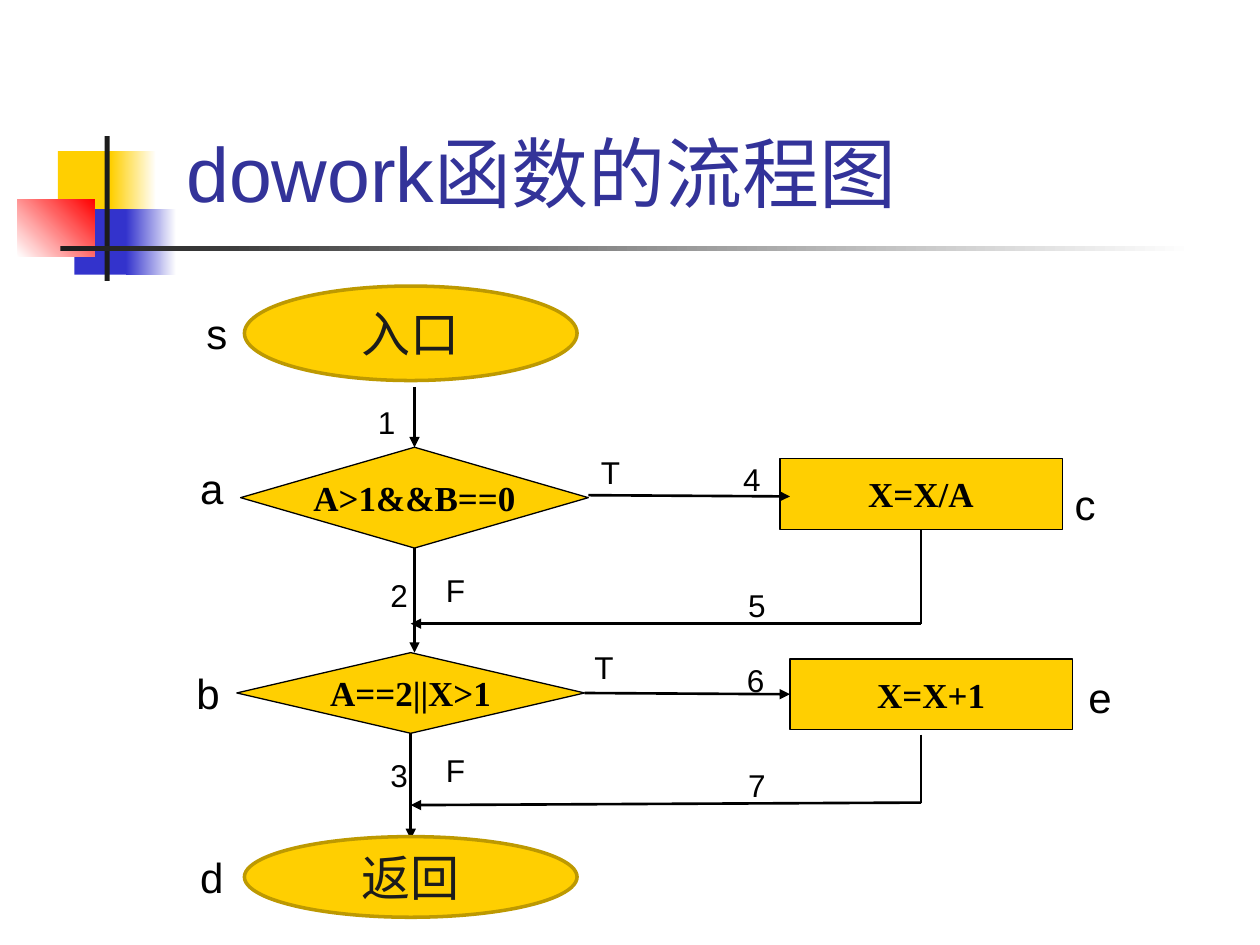
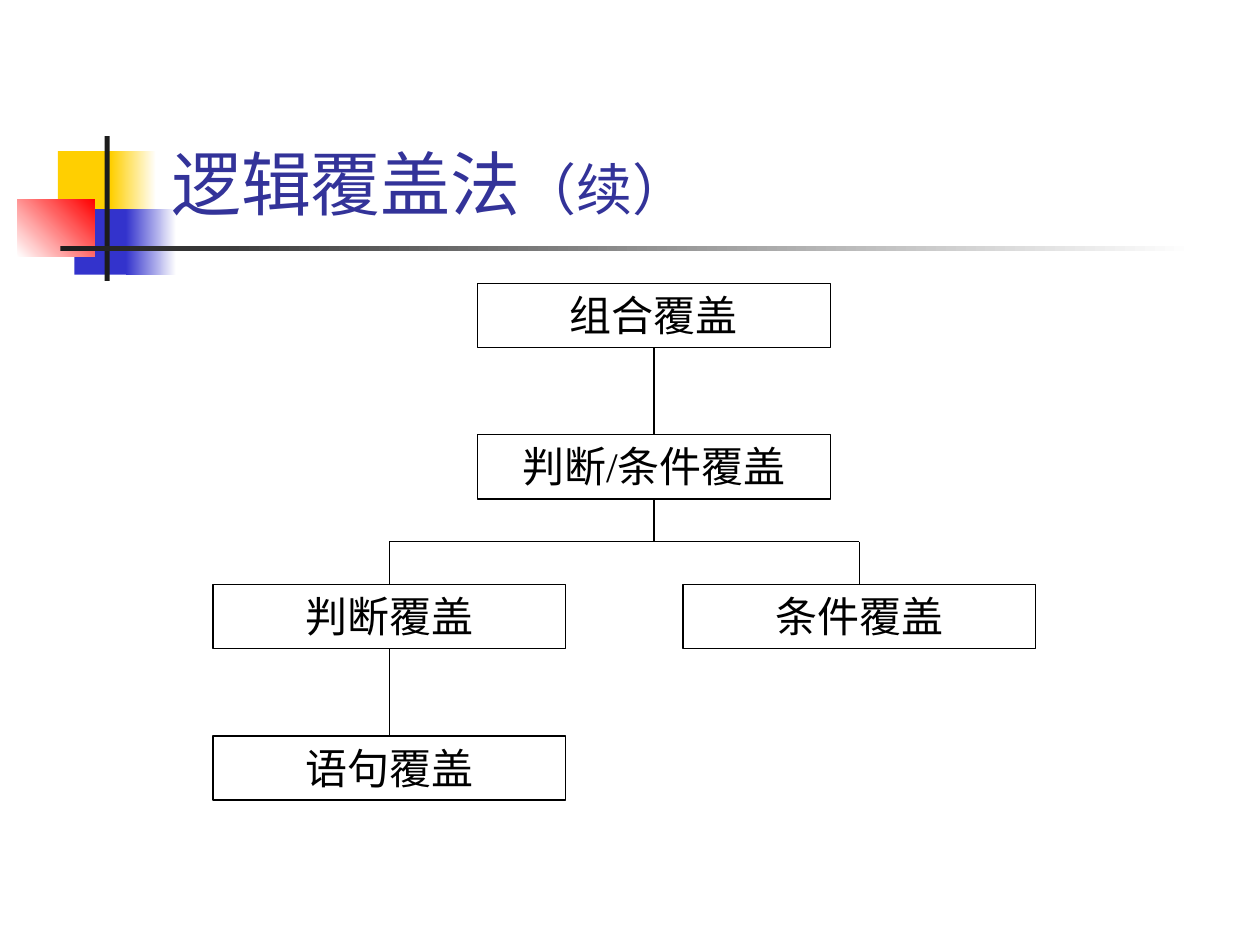
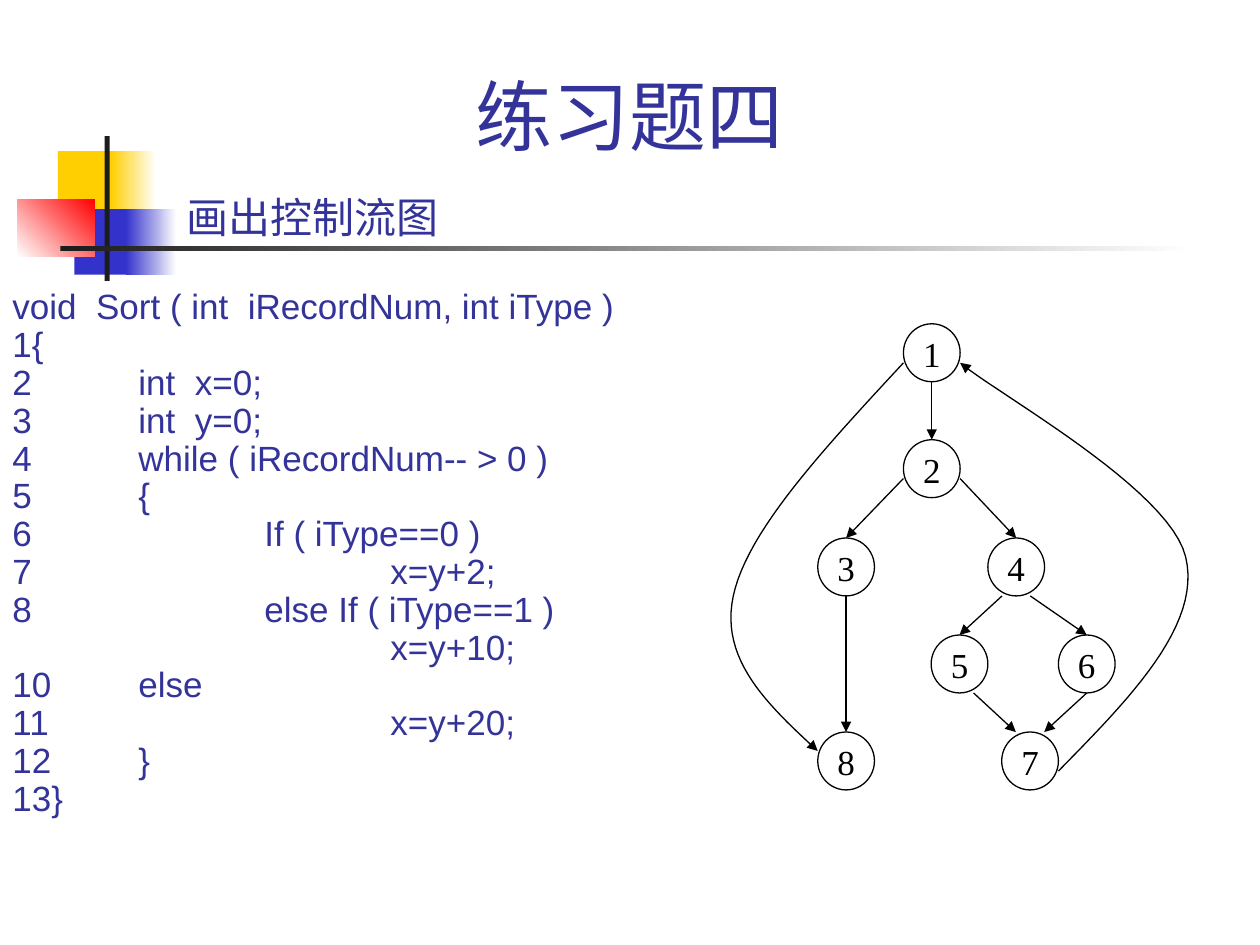
from dataclasses import dataclass

from lxml.etree import SubElement
from pptx import Presentation
from pptx.dml.color import RGBColor
from pptx.enum.shapes import MSO_CONNECTOR, MSO_SHAPE
from pptx.enum.text import MSO_ANCHOR, MSO_AUTO_SIZE, PP_ALIGN
from pptx.oxml.ns import qn
from pptx.util import Inches, Pt

BLACK, WHITE, INK = "000000", "FFFFFF", "1C1C1C"
YELLOW, BLUE, RED, GOLD, TITLE = "FFCF01", "3333CC", "FF0000", "BD9901", "333399"
SANS, SERIF = "Arial", "Times New Roman"
BOX_WIDTH, BOX_HEIGHT = 2.8, 0.51
NODE_WIDTH, NODE_HEIGHT = 0.45, 0.46


@dataclass(frozen=True)
class Area:
    """Place and size in inches."""
    left: float
    top: float
    width: float
    height: float

    def lengths(self) -> tuple:
        """Give the four values as lengths."""
        return tuple(map(Inches, (self.left, self.top, self.width, self.height)))

    def at(self, across: float, down: float) -> tuple:
        """Give the point at these fractions of the width and height."""
        return self.left + across * self.width, self.top + down * self.height


@dataclass(frozen=True)
class Band:
    """Part of the title decoration, fading when it has a second colour."""
    area: Area
    color: str
    fade: str = ""
    angle: int = 0


@dataclass(frozen=True)
class Step:
    """Filled flow chart shape with its text."""
    name: str
    kind: MSO_SHAPE
    area: Area
    text: str


@dataclass(frozen=True)
class Label:
    """Small free-standing text."""
    text: str
    area: Area
    size: int = 18


@dataclass(frozen=True)
class Joint:
    """Middle of a side of a named shape."""
    name: str
    side: int


@dataclass(frozen=True)
class Link:
    """Line between two points or joints."""
    start: tuple | Joint
    end: tuple | Joint
    arrow: bool = True


@dataclass(frozen=True)
class Edge:
    """Arrow between two graph nodes, with the fractions where it touches them."""
    source: str
    leave: tuple
    target: str
    enter: tuple


BANDS = (
    Band(Area(0.46, 1.2, 0.48, 0.52), YELLOW),
    Band(Area(0.88, 1.2, 0.36, 0.52), YELLOW, WHITE),
    Band(Area(0.59, 1.66, 0.46, 0.52), BLUE),
    Band(Area(1, 1.66, 0.4, 0.52), BLUE, WHITE),
    Band(Area(0.14, 1.58, 0.61, 0.46), WHITE, RED, 45),
    Band(Area(0.83, 1.08, 0.04, 1.15), INK),
    Band(Area(0.48, 1.95, 9, 0.04), INK, WHITE),
)

STEPS = (
    Step("a", MSO_SHAPE.FLOWCHART_DECISION, Area(1.91, 3.55, 2.76, 0.8), "A>1&&B==0"),
    Step("c", MSO_SHAPE.FLOWCHART_PROCESS, Area(6.19, 3.64, 2.24, 0.56), "X=X/A"),
    Step("e", MSO_SHAPE.FLOWCHART_PROCESS, Area(6.27, 5.23, 2.24, 0.56), "X=X+1"),
    Step("b", MSO_SHAPE.FLOWCHART_DECISION, Area(1.88, 5.18, 2.76, 0.64), "A==2||X>1"),
)

FLOW = (
    Link((3.29, 3.07), Joint("a", 0)),
    Link((4.67, 3.93), (6.27, 3.94)),
    Link(Joint("a", 2), (3.29, 5.18)),
    Link(Joint("b", 3), Joint("e", 1)),
    Link(Joint("b", 2), (3.26, 6.66)),
    Link(Joint("c", 2), (7.31, 4.95), False),
    Link((7.31, 4.95), (3.26, 4.95)),
    Link((7.31, 5.83), (7.31, 6.37), False),
    Link((7.31, 6.37), (3.26, 6.39)),
)

TERMINALS = (
    Step("d", MSO_SHAPE.OVAL, Area(1.94, 6.64, 2.64, 0.64), "返回"),
    Step("s", MSO_SHAPE.OVAL, Area(1.94, 2.27, 2.64, 0.75), "入口"),
)

LABELS = (
    Label("s", Area(1.54, 2.39, 0.37, 0.5), 24),
    Label("a", Area(1.49, 3.62, 0.39, 0.51), 24),
    Label("b", Area(1.46, 5.25, 0.39, 0.51), 24),
    Label("d", Area(1.49, 6.71, 0.39, 0.51), 24),
    Label("c", Area(8.43, 3.75, 0.37, 0.51), 24),
    Label("e", Area(8.54, 5.28, 0.39, 0.51), 24),
    Label("1", Area(2.9, 3.15, 0.34, 0.4)),
    Label("2", Area(3, 4.52, 0.34, 0.4)),
    Label("3", Area(3, 5.95, 0.34, 0.4)),
    Label("4", Area(5.8, 3.6, 0.34, 0.4)),
    Label("5", Area(5.84, 4.6, 0.34, 0.4)),
    Label("6", Area(5.83, 5.2, 0.34, 0.4)),
    Label("7", Area(5.84, 6.03, 0.34, 0.4)),
    Label("T", Area(4.67, 3.55, 0.36, 0.4)),
    Label("F", Area(3.44, 4.48, 0.36, 0.4)),
    Label("F", Area(3.44, 5.91, 0.36, 0.4)),
    Label("T", Area(4.62, 5.09, 0.36, 0.4)),
)

COVERAGE = {
    "组合覆盖": (3.79, 2.25),
    "判断/条件覆盖": (3.79, 3.45),
    "判断覆盖": (1.69, 4.64),
    "条件覆盖": (5.42, 4.64),
    "语句覆盖": (1.69, 5.84),
}

TREE = (
    Link(Joint("组合覆盖", 2), Joint("判断/条件覆盖", 0), False),
    Link(Joint("判断/条件覆盖", 2), (5.19, 4.3), False),
    Link((3.09, 4.3), (6.82, 4.3), False),
    Link((3.09, 4.3), Joint("判断覆盖", 0), False),
    Link((6.82, 4.3), Joint("条件覆盖", 0), False),
    Link(Joint("判断覆盖", 2), Joint("语句覆盖", 0), False),
)

CODE = """void  Sort ( int  iRecordNum, int iType )
1{
2\tint  x=0;
3\tint  y=0;
4\twhile ( iRecordNum-- > 0 )
5\t{
6\t\tIf ( iType==0 )
7\t\t\tx=y+2;
8\t\telse If ( iType==1 )
\t\t\tx=y+10;
10\telse
11\t\t\tx=y+20;
12\t}
13}"""

NODES = {
    "1": (7.17, 2.57),
    "2": (7.17, 3.49),
    "3": (6.49, 4.27),
    "4": (7.84, 4.27),
    "5": (7.39, 5.04),
    "6": (8.4, 5.04),
    "7": (7.95, 5.81),
    "8": (6.49, 5.81),
}

EDGES = (
    Edge("1", (0.5, 1), "2", (0.5, 0)),
    Edge("2", (0, 0.67), "3", (0.5, 0)),
    Edge("2", (1, 0.67), "4", (0.5, 0)),
    Edge("4", (0.25, 1), "5", (0.5, 0)),
    Edge("4", (0.75, 1), "6", (0.5, 0)),
    Edge("5", (0.75, 1), "7", (0.25, 0)),
    Edge("6", (0.5, 1), "7", (0.75, 0)),
    Edge("3", (0.5, 1), "8", (0.5, 0)),
)

CURVES = (
    ((7.17, 2.88), (6.55, 3.55), (5.93, 4.21), (5.82, 4.73),
     (5.71, 5.24), (6.1, 5.6), (6.49, 5.96)),
    ((8.4, 6.12), (8.97, 5.54), (9.54, 4.96), (9.41, 4.42),
     (9.28, 3.88), (7.92, 3.13), (7.62, 2.88)),
)


def rgb(color: str) -> RGBColor:
    """Turn a hex string into a colour."""
    return RGBColor.from_string(color)


def add_span(para, text: str, size: float, font: str, color: str, bold: bool = False) -> None:
    """Add a formatted run to a paragraph."""
    span = para.add_run()
    span.text = text
    span.font.size, span.font.name, span.font.bold = Pt(size), font, bold
    span.font.color.rgb = rgb(color)


def set_tabs(para, tabs: tuple) -> None:
    """Set left tab stops, given in inches."""
    stops = SubElement(para._p.get_or_add_pPr(), qn("a:tabLst"))
    for tab in tabs:
        SubElement(stops, qn("a:tab"), pos=str(Inches(tab)), algn="l")


def write(shape, text: str, *, size: float, font: str = SANS, color: str = BLACK,
          bold: bool = False, align=PP_ALIGN.LEFT, anchor=MSO_ANCHOR.TOP, wrap: bool = True,
          margin: float | None = None, line_spacing: float = 1, tabs: tuple = ()) -> None:
    """Write the lines of a text into a shape as paragraphs."""
    frame = shape.text_frame
    frame.word_wrap, frame.vertical_anchor = wrap, anchor
    if margin is not None:
        frame.margin_left = frame.margin_right = Inches(margin)
        frame.margin_top = frame.margin_bottom = Inches(margin)
    for index, line in enumerate(text.split("\n")):
        para = frame.add_paragraph() if index else frame.paragraphs[0]
        para.alignment, para.line_spacing = align, line_spacing
        if tabs:
            set_tabs(para, tabs)
        add_span(para, line, size, font, color, bold)


def add_box(page, area: Area, text: str, **style):
    """Add a text box."""
    box = page.shapes.add_textbox(*area.lengths())
    write(box, text, **style)
    return box


def add_label(page, area: Area, text: str, **style) -> None:
    """Add a text box that fits its single line."""
    box = add_box(page, area, text, wrap=False, **style)
    box.text_frame.auto_size = MSO_AUTO_SIZE.SHAPE_TO_FIT_TEXT


def set_line(item, color: str, weight: float, arrow: bool = False) -> None:
    """Set the line of a shape or connector, with an optional arrowhead."""
    item.line.color.rgb = rgb(color)
    item.line.width = Pt(weight)
    if arrow:
        SubElement(item.get_or_add_ln(), qn("a:tailEnd"), type="triangle")


def add_shape(page, kind, area: Area, fill: str = "", line: str = "", weight: float = 0.75):
    """Add a preset shape without shadow."""
    shape = page.shapes.add_shape(kind, *area.lengths())
    shape.shadow.inherit = False
    if fill:
        shape.fill.solid()
        shape.fill.fore_color.rgb = rgb(fill)
    else:
        shape.fill.background()
    if line:
        set_line(shape, line, weight)
    else:
        shape.line.fill.background()
    return shape


def add_link(page, link: Link, shapes: dict, weight: float = 0.75) -> None:
    """Draw a straight line, joined to shapes where it has joints."""
    points = [(0, 0) if isinstance(end, Joint) else end for end in (link.start, link.end)]
    lengths = [Inches(value) for point in points for value in point]
    connector = page.shapes.add_connector(MSO_CONNECTOR.STRAIGHT, *lengths)
    for end, join in ((link.start, connector.begin_connect), (link.end, connector.end_connect)):
        if isinstance(end, Joint):
            join(shapes[end.name], end.side)
    set_line(connector, BLACK, weight, link.arrow)
    SubElement(connector.element.spPr, qn("a:effectLst"))


def bezier(controls: tuple, count: int = 24) -> list:
    """Sample a cubic curve after its first point."""
    points = []
    for step in range(1, count + 1):
        t = step / count
        weights = ((1 - t) ** 3, 3 * t * (1 - t) ** 2, 3 * t * t * (1 - t), t ** 3)
        points.append(tuple(Inches(sum(w * p[axis] for w, p in zip(weights, controls)))
                            for axis in (0, 1)))
    return points


def add_curve(page, controls: tuple) -> None:
    """Draw an arrow along two cubic curves."""
    builder = page.shapes.build_freeform(*map(Inches, controls[0]))
    builder.add_line_segments(bezier(controls[:4]) + bezier(controls[3:]), close=False)
    curve = builder.convert_to_shape()
    curve.shadow.inherit = False
    curve.fill.background()
    set_line(curve, BLACK, 0.75, True)


def add_page(deck, title: str, area: Area, size: int, align=PP_ALIGN.LEFT):
    """Add a page with the decoration and title, and return it with the title box."""
    page = deck.slides.add_slide(deck.slide_layouts[6])
    for band in BANDS:
        shape = add_shape(page, MSO_SHAPE.RECTANGLE, band.area, band.color)
        if band.fade:
            shape.fill.gradient()
            shape.fill.gradient_angle = band.angle
            for stop, color in zip(shape.fill.gradient_stops, (band.color, band.fade)):
                stop.color.rgb = rgb(color)
    box = add_box(page, area, title, size=size, color=TITLE, align=align,
                  anchor=MSO_ANCHOR.BOTTOM)
    return page, box


def build_flow_chart(deck) -> None:
    """Build the flow chart page."""
    page, _ = add_page(deck, "dowork函数的流程图", Area(1.38, 0.84, 7.64, 0.94), 44)
    centred = {"align": PP_ALIGN.CENTER, "anchor": MSO_ANCHOR.MIDDLE}
    shapes = {}
    for step in STEPS:
        shapes[step.name] = add_shape(page, step.kind, step.area, YELLOW, BLACK)
        write(shapes[step.name], step.text, size=20, font=SERIF, bold=True, wrap=False, **centred)
    for link in FLOW:
        add_link(page, link, shapes, 1.5)
    for step in TERMINALS:
        oval = add_shape(page, step.kind, step.area, YELLOW, GOLD, 2)
        write(oval, step.text, size=28, color=INK, **centred)
    for label in LABELS:
        add_label(page, label.area, label.text, size=label.size)


def build_coverage_tree(deck) -> None:
    """Build the coverage tree page."""
    page, box = add_page(deck, "逻辑覆盖法", Area(1.26, 0.23, 8.52, 1.6), 40)
    add_span(box.text_frame.paragraphs[0], "（续）", 32, SANS, TITLE)
    shapes = {}
    for text, (left, top) in COVERAGE.items():
        area = Area(left, top, BOX_WIDTH, BOX_HEIGHT)
        shapes[text] = add_shape(page, MSO_SHAPE.RECTANGLE, area, line=BLACK)
        write(shapes[text], text, size=24, font=SERIF, align=PP_ALIGN.CENTER)
    for link in TREE:
        add_link(page, link, shapes)


def build_exercise(deck) -> None:
    """Build the exercise page with code and control flow graph."""
    page, _ = add_page(deck, "练习题四", Area(0.74, 0.57, 8.52, 0.76), 44, PP_ALIGN.CENTER)
    add_label(page, Area(1.38, 1.47, 2.22, 0.5), "画出控制流图", size=24, color=TITLE)
    add_box(page, Area(0, 2.25, 5.98, 5.48), CODE, size=20, color=TITLE,
            line_spacing=0.9, tabs=(1, 2, 3))
    areas = {name: Area(*place, NODE_WIDTH, NODE_HEIGHT) for name, place in NODES.items()}
    for name, area in areas.items():
        node = add_shape(page, MSO_SHAPE.OVAL, area, line=BLACK)
        write(node, name, size=20, font=SERIF, align=PP_ALIGN.CENTER, margin=0)
    for edge in EDGES:
        start, end = areas[edge.source].at(*edge.leave), areas[edge.target].at(*edge.enter)
        add_link(page, Link(start, end), {})
    for controls in CURVES:
        add_curve(page, controls)


def main() -> None:
    """Build and save the deck."""
    deck = Presentation()
    deck.slide_width, deck.slide_height = Inches(10), Inches(7.5)
    build_flow_chart(deck)
    build_coverage_tree(deck)
    build_exercise(deck)
    deck.save("out.pptx")


if __name__ == "__main__":
    main()
